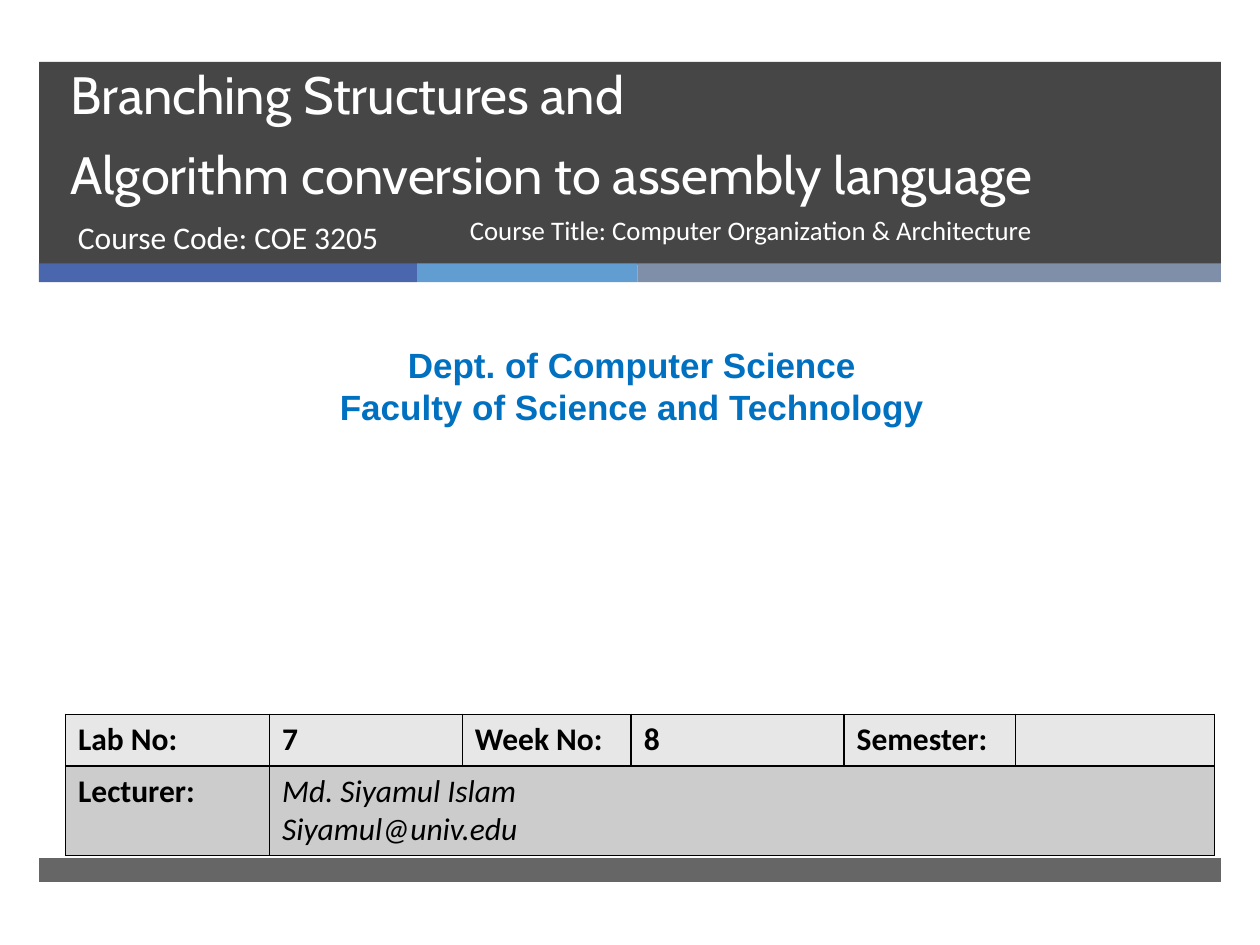
from typing import NamedTuple

from lxml import etree
from pptx import Presentation
from pptx.dml.color import RGBColor
from pptx.enum.shapes import MSO_SHAPE
from pptx.enum.text import MSO_ANCHOR, MSO_AUTO_SIZE, PP_ALIGN
from pptx.oxml.ns import qn
from pptx.util import Inches, Pt

RECT = MSO_SHAPE.RECTANGLE
TOP, BOTTOM = MSO_ANCHOR.TOP, MSO_ANCHOR.BOTTOM
FIXED = MSO_AUTO_SIZE.NONE
LEFT, CENTER = PP_ALIGN.LEFT, PP_ALIGN.CENTER

COLORS = {
    "dark": "262626", "blue": "4A66AC", "sky": "629DD1", "slate": "7F8FA9",
    "white": "FFFFFF", "dept": "0070C0", "black": "000000",
    "light": "E7E7E7", "gray": "CCCCCC",
}


class Bar(NamedTuple):
    left: float
    top: float
    width: float
    height: float
    color: str
    alpha: int = 100


class Note(NamedTuple):
    left: float
    top: float
    width: float
    height: float
    lines: list[str]
    style: dict


BARS = [
    Bar(0.31, 0.49, 9.38, 1.61, "dark", 85),
    Bar(0.31, 2.09, 3, 0.15, "blue"),
    Bar(3.31, 2.09, 1.75, 0.15, "sky"),
    Bar(5.06, 2.09, 4.63, 0.15, "slate"),
    Bar(0.31, 6.81, 9.38, 0.19, "dark", 70),
]
NOTES = [
    Note(0.52, 1.68, 3.05, 0.53, ["Course Code: COE 3205"],
         {"size": 18, "color": "white"}),
    Note(0.08, 2.68, 9.87, 0.77,
         ["Dept. of Computer Science", "Faculty of Science and Technology"],
         {"size": 20, "color": "dept", "font": "Arial", "bold": True, "align": CENTER}),
    Note(3.63, 1.68, 4.69, 0.53,
         ["Course Title: Computer Organization & Architecture"],
         {"size": 15.3, "color": "white", "space": 0.9}),
]
COLS = [1.62, 1.53, 1.34, 1.69, 1.36, 1.58]
ROWS = [0.41, 0.7]
LABELS = ["Lab No:", "7", "Week No:", "8", "Semester:", ""]
LECTURER = ["Md. Siyamul Islam", "Siyamul@univ.edu"]


def put_text(frame, lines: list[str], size: float = 18, color: str = "black",
             font: str = "Calibri", bold: bool = False, italic: bool = False,
             align=LEFT, space=None, anchor=TOP) -> None:
    """Write one paragraph per line; a vertical tab breaks the line."""
    frame.word_wrap = True
    frame.auto_size = FIXED
    frame.vertical_anchor = anchor
    for i, line in enumerate(lines):
        para = frame.paragraphs[0] if i == 0 else frame.add_paragraph()
        para.text = line
        para.alignment = align
        para.line_spacing = space
        for run in para.runs:
            run.font.size = Pt(size)
            run.font.name = font
            run.font.bold = bold
            run.font.italic = italic
            run.font.color.rgb = RGBColor.from_string(COLORS[color])


def draw_bar(slide, bar: Bar) -> None:
    shape = slide.shapes.add_shape(RECT, *map(Inches, bar[:4]))
    shape.shadow.inherit = False
    shape.line.fill.background()
    shape.fill.solid()
    shape.fill.fore_color.rgb = RGBColor.from_string(COLORS[bar.color])
    if bar.alpha < 100:
        tint = shape.fill._xPr.find(qn("a:solidFill"))[0]
        etree.SubElement(tint, qn("a:alpha"), val=str(bar.alpha * 1000))


def draw_note(slide, note: Note) -> None:
    box = slide.shapes.add_textbox(*map(Inches, note[:4]))
    put_text(box.text_frame, note.lines, **note.style)


def style_cell(cell, color: str) -> None:
    # Borders come before the fill in the cell's properties
    props = cell._tc.get_or_add_tcPr()
    for side in ("a:lnL", "a:lnR", "a:lnT", "a:lnB"):
        line = etree.SubElement(props, qn(side), w=str(Pt(1)))
        fill = etree.SubElement(line, qn("a:solidFill"))
        etree.SubElement(fill, qn("a:srgbClr"), val=COLORS["black"])
    cell.fill.solid()
    cell.fill.fore_color.rgb = RGBColor.from_string(COLORS[color])


def draw_table(slide) -> None:
    table = slide.shapes.add_table(
        len(ROWS), len(COLS), Inches(0.52), Inches(5.67),
        Inches(sum(COLS)), Inches(sum(ROWS))).table
    for col, width in zip(table.columns, COLS):
        col.width = Inches(width)
    for row, height, color in zip(table.rows, ROWS, ("light", "gray")):
        row.height = Inches(height)
        for cell in row.cells:
            style_cell(cell, color)
    table.cell(1, 1).merge(table.cell(1, 5))
    for i, label in enumerate(LABELS):
        put_cell(table.cell(0, i), [label], bold=True)
    put_cell(table.cell(1, 0), ["Lecturer:"], bold=True)
    put_cell(table.cell(1, 1), LECTURER, italic=True)


def put_cell(cell, lines: list[str], **style) -> None:
    put_text(cell.text_frame, lines, **style)


def draw_title(slide) -> None:
    title = slide.shapes.title
    title.left, title.top, title.width, title.height = map(
        Inches, (0.46, 0.49, 8.54, 1.19))
    put_text(title.text_frame,
             ["Branching Structures and\vAlgorithm conversion to assembly language"],
             size=30, color="white", font="Cabin", space=Pt(46), anchor=BOTTOM)
    # Bring the title in front of the bars
    slide.shapes._spTree.append(title._element)


def main() -> None:
    deck = Presentation()
    deck.slide_width, deck.slide_height = Inches(10), Inches(7.5)
    slide = deck.slides.add_slide(deck.slide_layouts[5])

    # Banner and footer
    for bar in BARS:
        draw_bar(slide, bar)

    # Title, course and department
    draw_title(slide)
    for note in NOTES:
        draw_note(slide, note)

    # Lab details
    draw_table(slide)
    deck.save("out.pptx")


if __name__ == "__main__":
    main()
